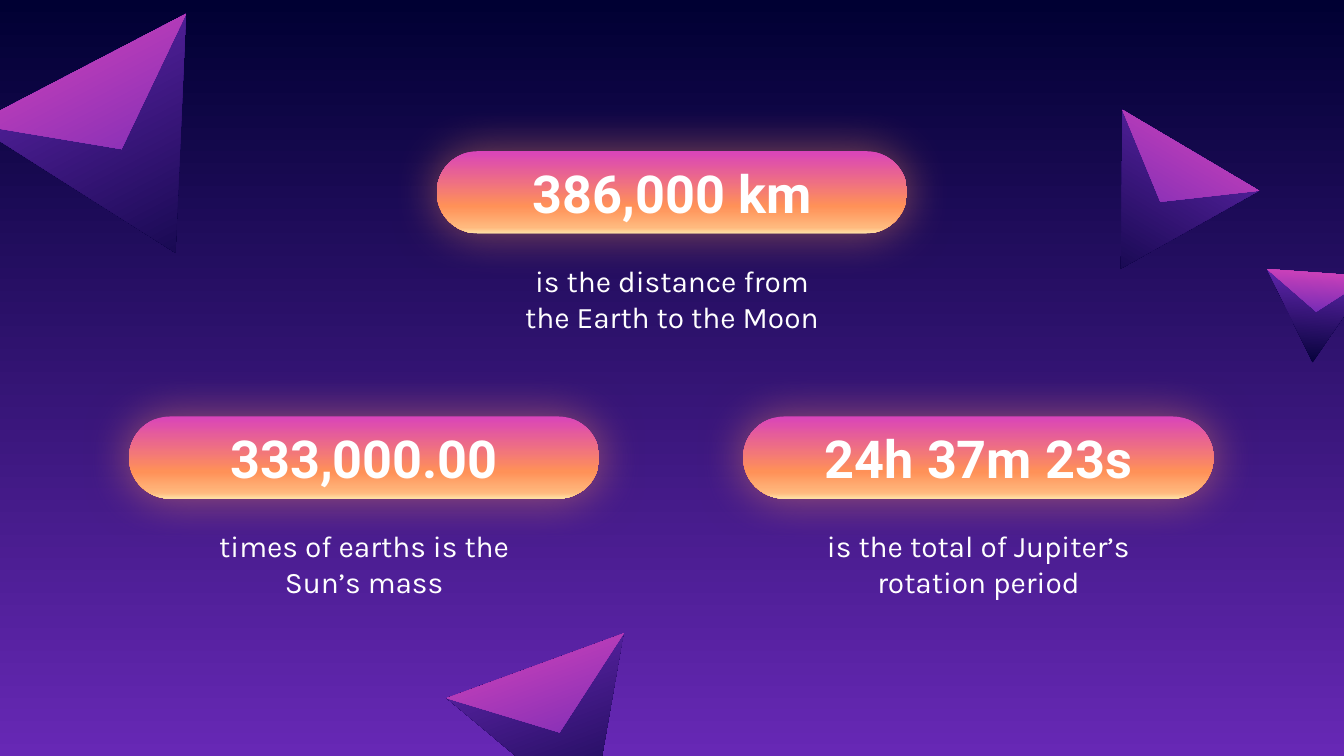
from collections import namedtuple
from copy import deepcopy
from math import cos, radians, sin, sqrt

from lxml.etree import SubElement
from pptx import Presentation
from pptx.dml.color import RGBColor
from pptx.enum.shapes import MSO_SHAPE
from pptx.enum.text import MSO_ANCHOR, MSO_AUTO_SIZE, PP_ALIGN
from pptx.oxml.ns import qn
from pptx.util import Inches, Pt

WIDTH, HEIGHT = 10, 5.625
COLORS = {
    "night": "000033",
    "violet": "6728B5",
    "pink": "D944BA",
    "orange": "FF9158",
    "peach": "FFB97E",
    "cream": "FFE0A4",
    "white": "FFFFFF",
}
DARK = [(0, "night"), (1, "violet")]
LIT = [(0, "violet"), (1, "pink")]
SUNSET = [(0, "pink"), (0.67, "orange"), (0.93, "peach"), (1, "cream")]

Box = namedtuple("Box", "left top width height")

# Centre and top as shares of the slide, number, caption
STATS = [
    (0.5, 0.2, "386,000 km", "is the distance from the Earth to the Moon"),
    (0.271, 0.551, "333,000.00", "times of earths is the Sun’s mass"),
    (0.728, 0.551, "24h 37m 23s", "is the total of Jupiter’s rotation period"),
]
# Centre x and y and edge length as shares of the slide, rotation in degrees
PYRAMIDS = [
    (0.095, 0.213, 0.178, 152.5),
    (0.86, 0.277, 0.118, 210.6),
    (0.979, 0.42, 0.077, 184.1),
    (0.419, 0.982, 0.14, 159.9),
]


def part(box, left, top, width, height):
    """Return the box covering the given shares of another box."""
    return Box(box.left + left * box.width, box.top + top * box.height,
               width * box.width, height * box.height)


def lengths(box):
    return [Inches(value) for value in box]


def paint_gradient(fill, stops):
    """Fill from top to bottom with (position, colour name) stops."""
    fill.gradient()
    stop_list = fill.gradient_stops._gsLst
    for _ in stops[2:]:
        stop_list.append(deepcopy(stop_list[-1]))
    for stop, (position, name) in zip(fill.gradient_stops, stops):
        stop.position = position
        stop.color.rgb = RGBColor.from_string(COLORS[name])
    fill.gradient_angle = 270


def add_gradient_shape(page, kind, box, stops):
    shape = page.shapes.add_shape(kind, *lengths(box))
    shape.shadow.inherit = False
    shape.line.fill.background()
    paint_gradient(shape.fill, stops)
    return shape


def add_glow(shape):
    effects = shape._element.spPr.find(qn("a:effectLst"))
    shadow = SubElement(effects, qn("a:outerShdw"), blurRad=str(Pt(24.8)),
                        dist="0", dir="0", algn="ctr", rotWithShape="0")
    color = SubElement(shadow, qn("a:srgbClr"), val=COLORS["orange"])
    SubElement(color, qn("a:alpha"), val="50000")


def place_text(page, holder, box, text, font, size, bold, anchor):
    """Put centred text in a placeholder, or in a text box if there is none."""
    if holder is None:
        holder = page.shapes.add_textbox(*lengths(box))
    else:
        holder.left, holder.top, holder.width, holder.height = lengths(box)
        page.shapes._spTree.append(holder._element)
    frame = holder.text_frame
    frame.word_wrap = True
    frame.auto_size = MSO_AUTO_SIZE.NONE
    frame.vertical_anchor = anchor
    frame.margin_left = frame.margin_right = Inches(0.1)
    frame.margin_top = frame.margin_bottom = Inches(0.1)
    para = frame.paragraphs[0]
    properties = para._p.get_or_add_pPr()
    properties.set("marL", "0")
    properties.set("indent", "0")
    SubElement(properties, qn("a:buNone"))
    para.alignment = PP_ALIGN.CENTER
    para.line_spacing = 1.0
    para.space_before = Pt(0)
    span = para.add_run()
    span.text = text
    span.font.name = font
    span.font.size = Pt(size)
    span.font.bold = bold
    span.font.color.rgb = RGBColor.from_string(COLORS["white"])


def add_stat(page, box, number, caption, number_holder, caption_holder):
    pill = add_gradient_shape(page, MSO_SHAPE.ROUNDED_RECTANGLE,
                              part(box, 0, 0, 1, 0.41), SUNSET)
    pill.adjustments[0] = 0.5
    add_glow(pill)
    place_text(page, number_holder, part(box, 0.045, 0.04, 0.91, 0.33),
               number, "Roboto", 28, True, MSO_ANCHOR.MIDDLE)
    place_text(page, caption_holder, part(box, 0.137, 0.49, 0.726, 0.51),
               caption, "Karla", 16, False, MSO_ANCHOR.TOP)


def add_pyramid(page, center_x, center_y, edge, rotation):
    """Draw a dark triangle and a flatter lit one sharing its base edge."""
    full_height = edge * sqrt(3) / 2
    turn = radians(rotation)
    for share, stops in ((1, DARK), (0.435, LIT)):
        height = full_height * share
        shift = (full_height - height) / 2
        box = Box(center_x - shift * sin(turn) - edge / 2,
                  center_y + shift * cos(turn) - height / 2, edge, height)
        face = add_gradient_shape(page, MSO_SHAPE.ISOSCELES_TRIANGLE, box, stops)
        face.rotation = rotation


def main():
    deck = Presentation()
    deck.slide_width, deck.slide_height = Inches(WIDTH), Inches(HEIGHT)
    page = deck.slides.add_slide(deck.slide_layouts.get_by_name("Comparison"))
    paint_gradient(page.background.fill, DARK)

    title, *bodies = page.placeholders
    number_holders = [title, None, None]
    for stat, number_holder, body in zip(STATS, number_holders, bodies):
        center, top, number, caption = stat
        box = Box(center * WIDTH - 1.75, top * HEIGHT, 3.5, 1.49)
        add_stat(page, box, number, caption, number_holder, body)
    for spare in bodies[len(STATS):]:
        spare._element.getparent().remove(spare._element)

    for center_x, center_y, edge, rotation in PYRAMIDS:
        add_pyramid(page, center_x * WIDTH, center_y * HEIGHT,
                    edge * WIDTH, rotation)
    deck.save("out.pptx")


if __name__ == "__main__":
    main()
